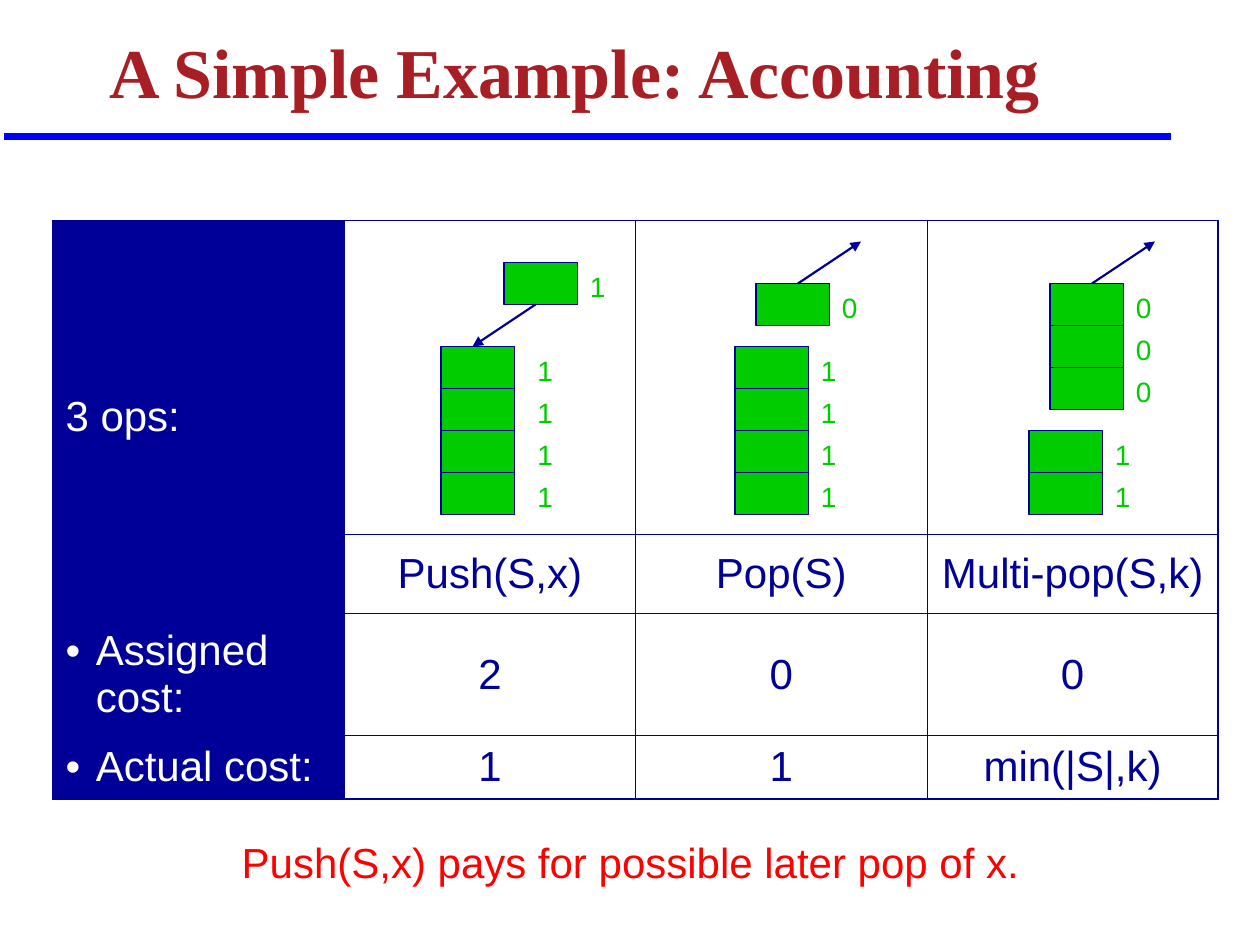
from dataclasses import dataclass

from lxml import etree
from pptx import Presentation
from pptx import util as u
from pptx.dml.color import RGBColor
from pptx.enum import shapes, text
from pptx.oxml import ns

COLORS = {"title": "A81E25", "rule": "0000FF", "navy": "000099",
          "green": "00CC00", "caption": "FF0000", "white": "FFFFFF"}
GRID = 1 / 12  # inches in one column or row of the drawing grid
BLOCK_COLS, BLOCK_ROWS = 7, 4
THIN, THICK = 0.45, 1.08
ROW_HEIGHTS = (2.49, 0.63, 0.97, 0.5)
COLUMN_WIDTH = 9.25 / 4
COSTS = (
    ("3 ops:", "", "", ""),
    ("", "Push(S,x)", "Pop(S)", "Multi-pop(S,k)"),
    ("Assigned cost:", "2", "0", "0"),
    ("Actual cost:", "1", "1", "min(|S|,k)"),
)


@dataclass
class Pile:
    """Blocks on top of each other, each with its credit beside it."""
    col: float
    row: float
    credits: str
    label_gap: float = 0


@dataclass
class Operation:
    piles: tuple[Pile, ...]
    arrow: tuple[float, float, float, float]


OPERATIONS = (
    Operation((Pile(42, 33, "1111", 1), Pile(48, 25, "1")), (51, 29, 45, 33)),
    Operation((Pile(70, 33, "1111"), Pile(72, 27, "0")), (76, 27, 82, 23)),
    Operation((Pile(98, 41, "11"), Pile(100, 27, "000")), (104, 27, 110, 23)),
)


def rgb(name: str) -> RGBColor:
    return RGBColor.from_string(COLORS[name])


def grid(*counts: float) -> list[int]:
    return [u.Inches(count * GRID) for count in counts]


def write(frame, words: str, *, color: str, size: float = 24, font: str = "Arial",
          bold: bool = False, align=text.PP_ALIGN.LEFT, before: float = 0,
          spacing: float = 1.0, bullet: bool = False) -> None:
    paragraph = frame.paragraphs[0]
    paragraph.alignment = align
    paragraph.space_before = u.Pt(before)
    paragraph.line_spacing = spacing
    run = paragraph.add_run()
    run.text = words
    run.font.name, run.font.size, run.font.bold = font, u.Pt(size), bold
    run.font.color.rgb = rgb(color)
    if bullet:
        properties = paragraph._p.get_or_add_pPr()
        indent = u.Inches(0.24)
        properties.set("marL", str(indent))
        properties.set("indent", str(-indent))
        etree.SubElement(properties, ns.qn("a:buFont"), typeface="Arial")
        etree.SubElement(properties, ns.qn("a:buChar"), char="•")


def add_line(parent, ends, color: str, width: float, arrow: bool = False) -> None:
    line = parent.add_connector(shapes.MSO_CONNECTOR.STRAIGHT, *ends)
    line.line.color.rgb = rgb(color)
    line.line.width = u.Pt(width)
    if arrow:
        etree.SubElement(line.line._get_or_add_ln(), ns.qn("a:tailEnd"), type="triangle")
    etree.SubElement(line._element.spPr, ns.qn("a:effectLst"))


def add_label(parent, place, words: str, **style) -> None:
    frame = parent.add_textbox(*place).text_frame
    frame.word_wrap = False
    frame.auto_size = text.MSO_AUTO_SIZE.SHAPE_TO_FIT_TEXT
    write(frame, words, **style)


def add_border(cell, side: str, width: float) -> None:
    line = etree.SubElement(cell._tc.get_or_add_tcPr(), ns.qn(f"a:ln{side}"),
                            w=str(u.Pt(width)))
    fill = etree.SubElement(line, ns.qn("a:solidFill"))
    etree.SubElement(fill, ns.qn("a:srgbClr"), val=COLORS["navy"])


def add_cost_table(parent) -> None:
    last = len(COSTS) - 1
    table = parent.add_table(len(COSTS), len(COSTS[0]), u.Inches(0.42), u.Inches(1.75),
                             u.Inches(9.25), u.Inches(sum(ROW_HEIGHTS))).table
    table.first_row = table.horz_banding = False
    for column in table.columns:
        column.width = u.Inches(COLUMN_WIDTH)
    for r, (height, entries) in enumerate(zip(ROW_HEIGHTS, COSTS)):
        table.rows[r].height = u.Inches(height)
        for c, words in enumerate(entries):
            cell = table.cell(r, c)
            heavy = {"L": c <= 1, "R": c in (0, last), "T": r == 0, "B": r == last}
            for side, is_heavy in heavy.items():
                add_border(cell, side, THICK if is_heavy else THIN)
            cell.vertical_anchor = text.MSO_ANCHOR.MIDDLE
            if c == 0:
                cell.fill.solid()
                cell.fill.fore_color.rgb = rgb("navy")
            else:
                cell.fill.background()
            if words:
                write(cell.text_frame, words, before=6,
                      color="navy" if c else "white", bullet=c == 0 and r > 0,
                      align=text.PP_ALIGN.CENTER if c else text.PP_ALIGN.LEFT)
    table.cell(0, 0).merge(table.cell(1, 0))


def add_operation(parent, operation: Operation) -> None:
    group = parent.add_group_shape().shapes
    for pile in operation.piles:
        for level in reversed(range(len(pile.credits))):
            block = group.add_shape(
                shapes.MSO_SHAPE.RECTANGLE,
                *grid(pile.col, pile.row + level * BLOCK_ROWS, BLOCK_COLS, BLOCK_ROWS))
            block.shadow.inherit = False
            block.fill.solid()
            block.fill.fore_color.rgb = rgb("green")
            block.line.color.rgb = rgb("navy")
            block.line.width = u.Pt(0.75)
    add_line(group, grid(*operation.arrow), "navy", 1.25, arrow=True)


def add_credits(parent, pile: Pile) -> None:
    for level, credit in enumerate(pile.credits):
        place = grid(pile.col + BLOCK_COLS + pile.label_gap,
                     pile.row + level * BLOCK_ROWS + 0.1, 3.84, 4.44)
        add_label(parent, place, credit, color="green", size=16)


def main() -> None:
    deck = Presentation()
    deck.slide_width, deck.slide_height = u.Inches(10), u.Inches(7.5)
    slide = deck.slides.add_slide(deck.slide_layouts[5])
    parts = slide.shapes

    add_line(parts, [u.Inches(n) for n in (0.03, 1.08, 9.29, 1.08)], "rule", 4)

    title = parts.title
    title.left, title.top = u.Inches(0.77), u.Inches(0.08)
    title.width, title.height = u.Inches(8.5), u.Inches(0.87)
    title.text_frame.auto_size = text.MSO_AUTO_SIZE.NONE
    title.text_frame.vertical_anchor = text.MSO_ANCHOR.BOTTOM
    write(title.text_frame, "A Simple Example: Accounting", color="title", size=40,
          font="Times New Roman", bold=True, spacing=0.9)

    add_cost_table(parts)
    for operation in OPERATIONS:
        add_operation(parts, operation)
    add_label(parts, [u.Inches(n) for n in (1.82, 6.59, 6.37, 0.5)],
              "Push(S,x) pays for possible later pop of x.", color="caption")
    for operation in OPERATIONS:
        for pile in operation.piles:
            add_credits(parts, pile)

    deck.save("out.pptx")


if __name__ == "__main__":
    main()
